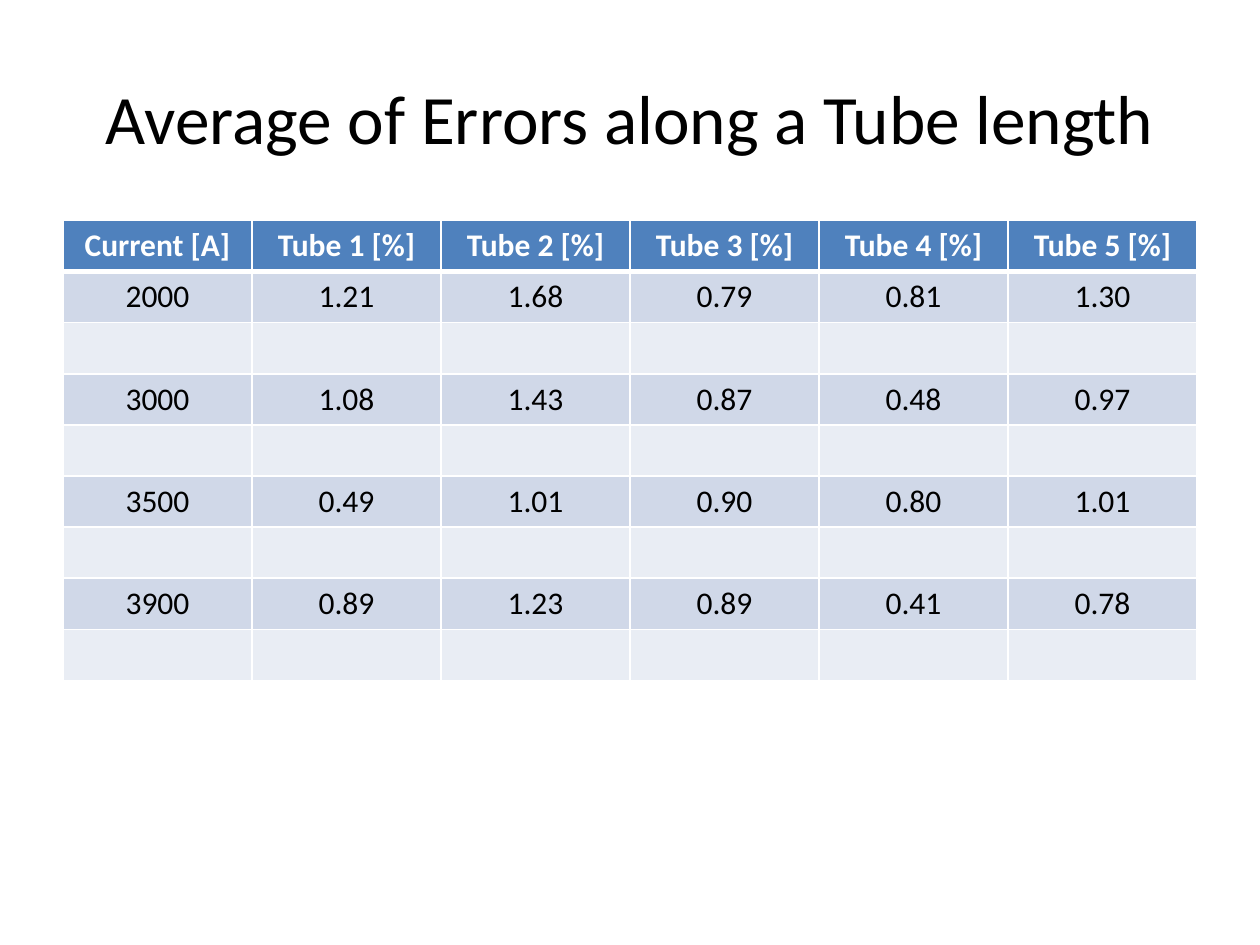
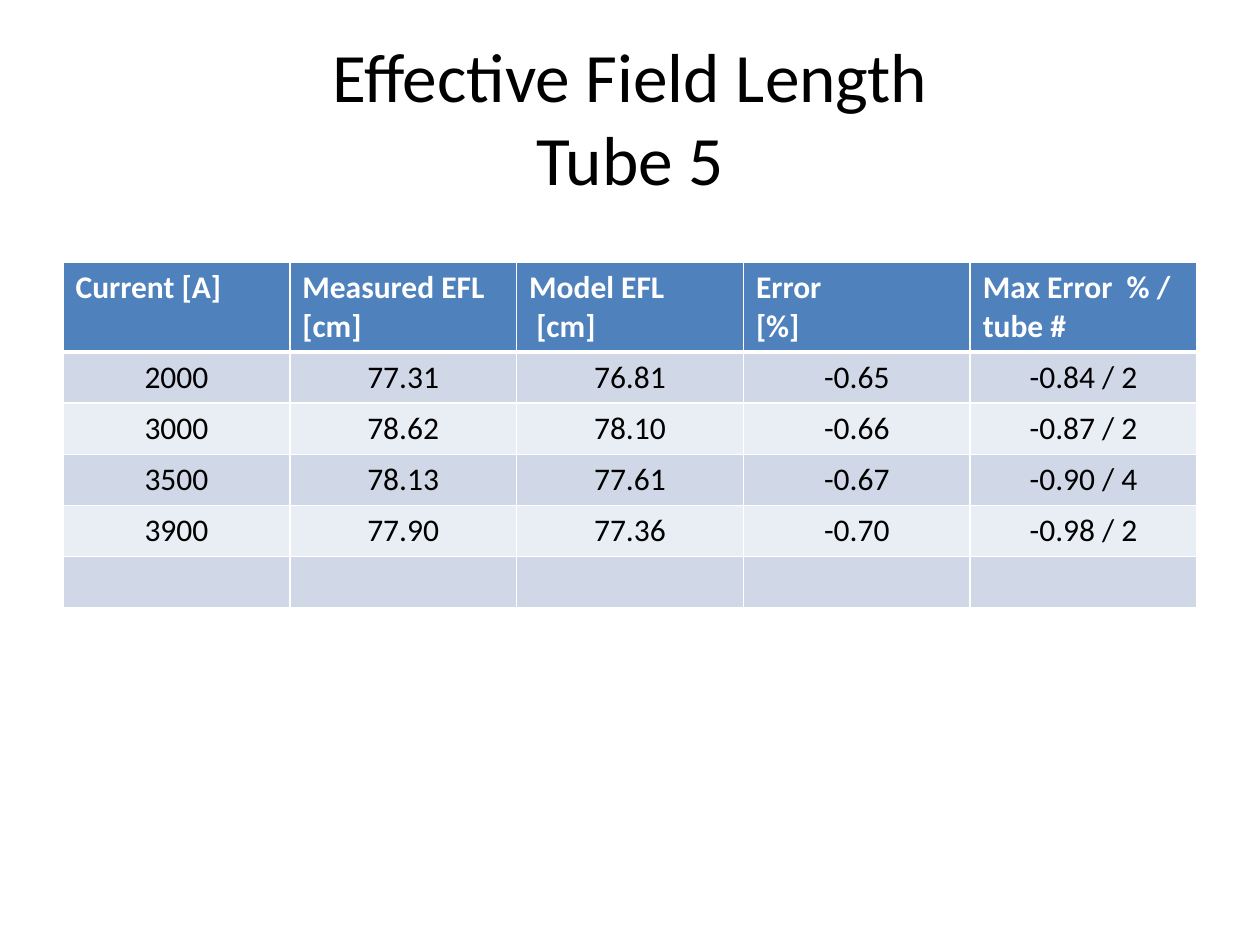
"""Build two slides of magnet measurement tables."""
from pptx import Presentation
from pptx.dml.color import RGBColor
from pptx.enum.text import MSO_ANCHOR, MSO_AUTO_SIZE, PP_ALIGN as Align
from pptx.oxml.ns import qn
from pptx.util import Pt
from lxml.etree import SubElement

SLIDES = [
    {
        "title": "Average of Errors along a Tube length",
        "table_top": 126,
        "header_align": Align.CENTER,
        "header": ["Current [A]"] + [f"Tube {number} [%]" for number in range(1, 6)],
        "rows": [
            ["2000", "1.21", "1.68", "0.79", "0.81", "1.30"],
            [],
            ["3000", "1.08", "1.43", "0.87", "0.48", "0.97"],
            [],
            ["3500", "0.49", "1.01", "0.90", "0.80", "1.01"],
            [],
            ["3900", "0.89", "1.23", "0.89", "0.41", "0.78"],
            [],
        ],
    },
    {
        "title": "Effective Field Length\vTube 5",
        "table_top": 150,
        "header_align": Align.LEFT,
        "header": ["Current [A]", "Measured EFL [cm]", "Model EFL\v [cm]",
                   "Error \v[%]", "Max Error  % / tube #"],
        "rows": [
            ["2000", "77.31", "76.81", "-0.65", "-0.84 / 2"],
            ["3000", "78.62", "78.10", "-0.66", "-0.87 / 2"],
            ["3500", "78.13", "77.61", "-0.67", "-0.90 / 4"],
            ["3900", "77.90", "77.36", "-0.70", "-0.98 / 2"],
            [],
        ],
    },
]

FONT = "Calibri"
BLACK, WHITE = "000000", "FFFFFF"
HEADER_FILL = "4F81BD"
BANDS = ["D0D8E8", "E9EDF4"]
LEFT, WIDTH = 36, 648
TITLE_TOP, TITLE_HEIGHT = 21.6, 90
ROW_HEIGHT = 29.2
THIN, THICK = 1, 3


def color(hex_code):
    return RGBColor.from_string(hex_code)


def style_text(paragraph, size, hex_code, align, bold=False):
    paragraph.alignment = align
    for font in [paragraph.font] + [run.font for run in paragraph.runs]:
        font.name, font.size, font.bold = FONT, Pt(size), bold
        font.color.rgb = color(hex_code)


def add_borders(cell, top, bottom):
    properties = cell._tc.get_or_add_tcPr()
    for side, width in [("lnL", THIN), ("lnR", THIN), ("lnT", top), ("lnB", bottom)]:
        border = SubElement(properties, qn(f"a:{side}"), w=str(Pt(width)))
        solid = SubElement(border, qn("a:solidFill"))
        SubElement(solid, qn("a:srgbClr"), val=WHITE)


def add_title(slide, wording):
    title = slide.shapes.title
    title.left, title.top = Pt(LEFT), Pt(TITLE_TOP)
    title.width, title.height = Pt(WIDTH), Pt(TITLE_HEIGHT)
    frame = title.text_frame
    frame.auto_size = MSO_AUTO_SIZE.NONE
    frame.vertical_anchor = MSO_ANCHOR.MIDDLE
    frame.paragraphs[0].text = wording
    style_text(frame.paragraphs[0], 39.6, BLACK, Align.CENTER)


def add_results(slide, content):
    header = content["header"]
    lines = [header] + content["rows"]
    results = slide.shapes.add_table(
        len(lines), len(header), Pt(LEFT), Pt(content["table_top"]),
        Pt(WIDTH), Pt(ROW_HEIGHT * len(lines))).table
    for row_index, values in enumerate(lines):
        is_header = row_index == 0
        fill = HEADER_FILL if is_header else BANDS[(row_index - 1) % 2]
        for column_index in range(len(header)):
            cell = results.cell(row_index, column_index)
            add_borders(cell, THICK if row_index == 1 else THIN,
                        THICK if is_header else THIN)
            cell.fill.solid()
            cell.fill.fore_color.rgb = color(fill)
            paragraph = cell.text_frame.paragraphs[0]
            if values:
                paragraph.text = values[column_index]
            style_text(paragraph, 18, WHITE if is_header else BLACK,
                       content["header_align"] if is_header else Align.CENTER,
                       is_header)


def main():
    deck = Presentation()
    deck.slide_width, deck.slide_height = Pt(720), Pt(540)
    for content in SLIDES:
        slide = deck.slides.add_slide(deck.slide_layouts[5])
        add_title(slide, content["title"])
        add_results(slide, content)
    deck.save("out.pptx")


if __name__ == "__main__":
    main()
